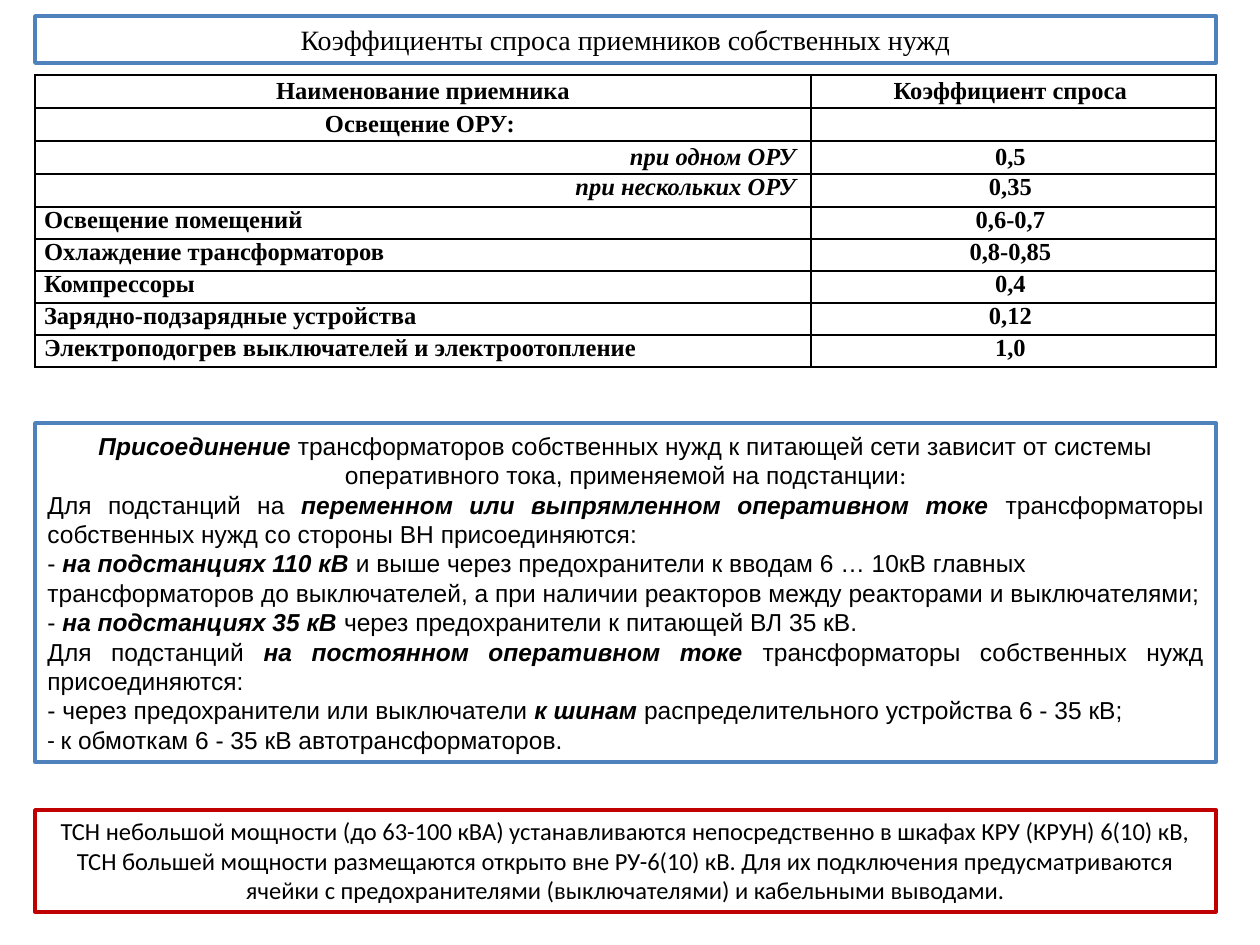
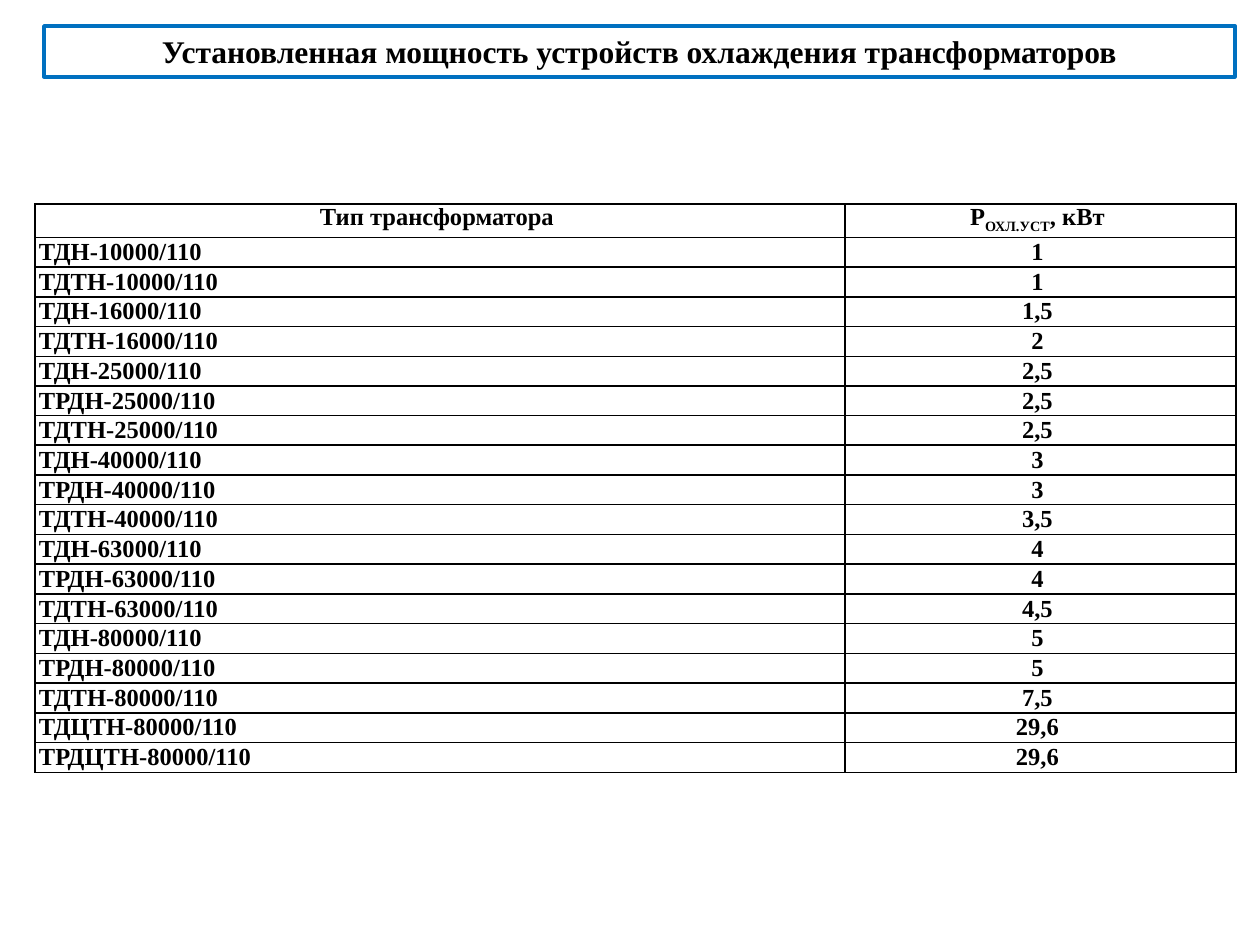
from dataclasses import dataclass

from lxml import etree
from pptx import Presentation
from pptx.dml.color import RGBColor
from pptx.enum.shapes import MSO_SHAPE
from pptx.enum.text import MSO_ANCHOR, MSO_AUTO_SIZE, PP_ALIGN
from pptx.oxml.ns import qn
from pptx.slide import Slide
from pptx.text.text import _Paragraph
from pptx.util import Emu, Pt

RECT = MSO_SHAPE.RECTANGLE
TOP, MID = MSO_ANCHOR.TOP, MSO_ANCHOR.MIDDLE
LEFT, CENTER = PP_ALIGN.LEFT, PP_ALIGN.CENTER
RIGHT, FULL = PP_ALIGN.RIGHT, PP_ALIGN.JUSTIFY
FIT = MSO_AUTO_SIZE.SHAPE_TO_FIT_TEXT

BLACK = RGBColor(0x00, 0x00, 0x00)
STEEL = RGBColor(0x4F, 0x81, 0xBD)
BLUE = RGBColor(0x00, 0x70, 0xC0)
RED = RGBColor(0xC0, 0x00, 0x00)
SERIF, SANS, BODY = "Times New Roman", "Arial", "Calibri"
EDGE = 35


@dataclass(frozen=True)
class Font:
    name: str
    size: int
    bold: bool = False


@dataclass(frozen=True)
class Line:
    """In text, * toggles bold italic, ~ the body font, _ a subscript."""
    text: str
    align: PP_ALIGN = CENTER


@dataclass(frozen=True)
class Box:
    x: int
    y: int
    w: int
    h: int
    color: RGBColor
    font: Font
    lines: tuple[Line, ...]
    anchor: MSO_ANCHOR = TOP


@dataclass(frozen=True)
class Row:
    name: Line
    value: str
    h: int
    anchor: MSO_ANCHOR = MID


@dataclass(frozen=True)
class Grid:
    y: int
    cols: tuple[int, int]
    pad: int
    rows: list[Row]


CELL = Font(SERIF, 14, True)


def px(n: int) -> Emu:
    return Emu(round(n * 914400 / 126))


def write(para: _Paragraph, line: Line, font: Font) -> None:
    para.alignment = line.align
    marks = {"*": False, "~": False, "_": False}
    part = ""
    for char in line.text + "\0":
        if char not in marks and char != "\0":
            part += char
            continue
        if part:
            run = para.add_run()
            run.text = part
            run.font.name = BODY if marks["~"] else font.name
            run.font.size = Pt(font.size)
            run.font.bold = font.bold or marks["*"]
            run.font.italic = marks["*"]
            run.font.color.rgb = BLACK
            if marks["_"]:
                run._r.get_or_add_rPr().set("baseline", "-25000")
        part = ""
        if char in marks:
            marks[char] = not marks[char]
    if not line.text:
        # An empty cell still takes its row height from the text size
        end = etree.SubElement(para._p, qn("a:endParaRPr"))
        end.set("sz", str(font.size * 100))


def draw_box(slide: Slide, box: Box) -> None:
    shape = slide.shapes.add_shape(RECT, px(box.x), px(box.y), px(box.w), px(box.h))
    shape.shadow.inherit = False
    shape.fill.background()
    shape.line.color.rgb = box.color
    shape.line.width = Pt(2)
    frame = shape.text_frame
    frame.word_wrap = True
    frame.auto_size = FIT
    frame.vertical_anchor = box.anchor
    for i, line in enumerate(box.lines):
        para = frame.add_paragraph() if i else frame.paragraphs[0]
        write(para, line, box.font)


def draw_grid(slide: Slide, grid: Grid) -> None:
    high = sum(row.h for row in grid.rows)
    table = slide.shapes.add_table(len(grid.rows), len(grid.cols), px(EDGE),
                                   px(grid.y), px(sum(grid.cols)), px(high)).table
    table.first_row = table.horz_banding = False
    for col, wide in zip(table.columns, grid.cols):
        col.width = px(wide)
    for i, row in enumerate(grid.rows):
        table.rows[i].height = px(row.h)
        for j, line in enumerate((row.name, Line(row.value))):
            cell = table.cell(i, j)
            cell.margin_left = cell.margin_right = px(grid.pad)
            cell.margin_top = cell.margin_bottom = 0
            cell.vertical_anchor = row.anchor
            write(cell.text_frame.paragraphs[0], line, CELL)
            frame_cell(cell._tc.get_or_add_tcPr())
            cell.fill.background()


def frame_cell(props: etree._Element) -> None:
    for side in "LRTB":
        edge = etree.SubElement(props, qn(f"a:ln{side}"), w=str(Pt(1)))
        fill = etree.SubElement(edge, qn("a:solidFill"))
        etree.SubElement(fill, qn("a:srgbClr"), val=str(BLACK))


# Demand factors
DEMAND = Grid(75, (776, 405), 9, [
    Row(Line("Наименование приемника"), "Коэффициент спроса ", 33),
    Row(Line("Освещение ОРУ: "), "", 33),
    Row(Line("*при одном ОРУ *", RIGHT), "0,5 ", 33),
    Row(Line("*при нескольких ОРУ *", RIGHT), "0,35 ", 33, TOP),
] + [Row(Line(name, LEFT), f"{value} ", 32, TOP) for name, value in (
    ("Освещение помещений", "0,6-0,7"),
    ("Охлаждение трансформаторов", "0,8-0,85"),
    ("Компрессоры", "0,4"),
    ("Зарядно-подзарядные устройства", "0,12"),
    ("Электроподогрев выключателей и электроотопление", "1,0"),
)])

NOTES = (
    Box(EDGE, 16, 1181, 47, STEEL, Font(SERIF, 16),
        (Line("Коэффициенты спроса приемников собственных нужд"),)),
    Box(EDGE, 423, 1181, 339, STEEL, Font(SANS, 14), (
        Line("*Присоединение* трансформаторов собственных нужд к питающей сети "
             "зависит от системы оперативного тока, применяемой на подстанции~:~"),
        Line("Для подстанций на *переменном или выпрямленном оперативном токе "
             "*трансформаторы собственных нужд со стороны ВН присоединяются: ", FULL),
        Line("- *на подстанциях 110 кВ *и выше через предохранители к вводам "
             "6 … 10кВ главных трансформаторов до выключателей, а при наличии "
             "реакторов между реакторами и выключателями;", LEFT),
        Line("- *на подстанциях 35 кВ *через предохранители к питающей ВЛ 35 кВ.", FULL),
        Line("Для подстанций *на постоянном оперативном токе *трансформаторы "
             "собственных нужд присоединяются:", FULL),
        Line("- через предохранители или выключатели *к шинам "
             "*распределительного устройства 6 - 35 кВ;", FULL),
        Line("~- ~к обмоткам 6 - 35 кВ автотрансформаторов.", FULL),
    ), MID),
    Box(EDGE, 810, 1181, 102, RED, Font(BODY, 14), (
        Line("ТСН небольшой мощности (до 63-100 кВА) устанавливаются "
             "непосредственно в шкафах КРУ (КРУН) 6(10) кВ, ТСН большей мощности "
             "размещаются открыто вне РУ-6(10) кВ. Для их подключения "
             "предусматриваются ячейки с предохранителями (выключателями) и "
             "кабельными выводами."),)),
)

# Cooling power
TITLE = Box(44, 26, 1191, 51, BLUE, Font(SERIF, 18, True),
            (Line("Установленная мощность устройств охлаждения трансформаторов"),))

POWER = (
    ("ТДН-10000", "1"), ("ТДТН-10000", "1"),
    ("ТДН-16000", "1,5"), ("ТДТН-16000", "2"),
    ("ТДН-25000", "2,5"), ("ТРДН-25000", "2,5"), ("ТДТН-25000", "2,5"),
    ("ТДН-40000", "3"), ("ТРДН-40000", "3"), ("ТДТН-40000", "3,5"),
    ("ТДН-63000", "4"), ("ТРДН-63000", "4"), ("ТДТН-63000", "4,5"),
    ("ТДН-80000", "5"), ("ТРДН-80000", "5"), ("ТДТН-80000", "7,5"),
    ("ТДЦТН-80000", "29,6"), ("ТРДЦТН-80000", "29,6"),
)
COOLING = Grid(204, (810, 391), 4, [
    Row(Line("Тип трансформатора "), "Р_ОХЛ.УСТ_, кВт ", 33, TOP),
] + [Row(Line(f"{kind}/110", LEFT), f"{value} ", 29 + i % 2)
     for i, (kind, value) in enumerate(POWER)])


def main() -> None:
    deck = Presentation()
    deck.slide_width, deck.slide_height = px(1260), px(945)
    blank = deck.slide_layouts[6]
    for grid, boxes in ((DEMAND, NOTES), (COOLING, (TITLE,))):
        slide = deck.slides.add_slide(blank)
        draw_grid(slide, grid)
        for box in boxes:
            draw_box(slide, box)
    deck.save("out.pptx")


if __name__ == "__main__":
    main()
